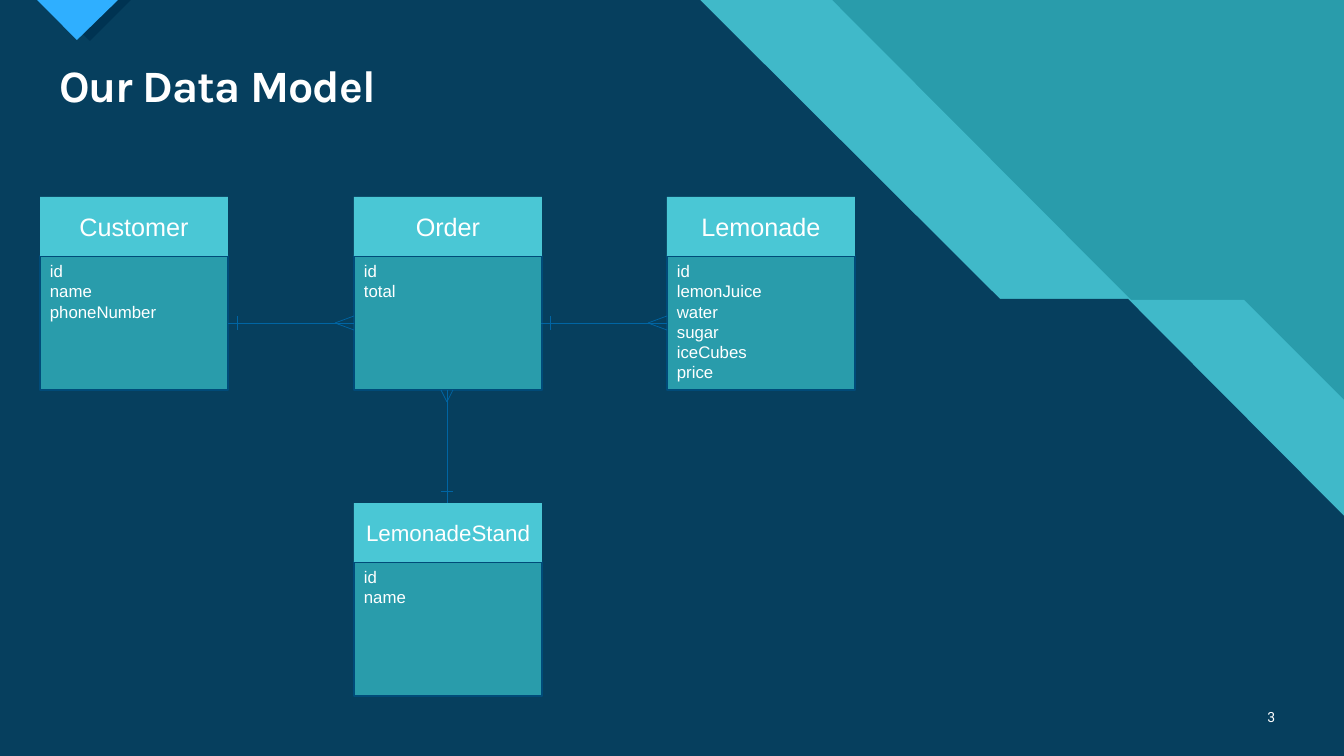
"""Build the lemonade data model slide."""
from math import hypot

from pptx import Presentation
from pptx import util as u
from pptx.dml.color import RGBColor
from pptx.enum import shapes, text
from pptx.oxml.ns import qn
from pptx.oxml.xmlchemy import OxmlElement

PX = 9071.43
WIDTH, HEIGHT = 1344, 756
WHITE = RGBColor(0xFF, 0xFF, 0xFF)
TEAL = RGBColor(0x29, 0x9C, 0xAB)
AQUA = RGBColor(0x40, 0xB9, 0xC9)
NAVY = RGBColor(0x06, 0x3F, 0x5E)
DEEP_NAVY = RGBColor(0x00, 0x33, 0x52)
SKY = RGBColor(0x2F, 0xAF, 0xFF)
HEADER = RGBColor(0x4A, 0xC7, 0xD5)
OUTLINE = RGBColor(0x00, 0x4B, 0x79)
RELATION = RGBColor(0x00, 0x65, 0xA4)

ENTITY_WIDTH, HEADER_HEIGHT, BODY_HEIGHT = 188, 59, 134

BACKDROP = [
    (AQUA, [(0, 0), (832, 0), (1131, 300), (1244, 300), (1344, 400),
            (1344, 756), (0, 756)]),
    (NAVY, [(0, 0), (700, 0), (1000, 299), (1128, 299), (1344, 516),
            (1344, 756), (0, 756)]),
    (DEEP_NAVY, [(48, 0), (131, 0), (90, 41)]),
    (SKY, [(37, 0), (118, 0), (77, 40)]),
]
ENTITIES = [
    (40, 197, "Customer", 18, ["id", "name", "phoneNumber"]),
    (354, 197, "Order", 18, ["id", "total"]),
    (667, 197, "Lemonade", 18,
     ["id", "lemonJuice", "water", "sugar", "iceCubes", "price"]),
    (354, 503, "LemonadeStand", 16, ["id", "name"]),
]
RELATIONS = [
    ((228, 323), (354, 323), 19, 9, 7),
    ((541, 323), (667, 323), 19, 9, 7),
    ((447, 503), (447, 390), 12, 12, 6),
]


def px(length):
    """Turn pixels into EMU."""
    return u.Emu(round(length * PX))


class DataModelSlide:
    """Draw elements on one slide in a shared style."""

    def __init__(self, deck):
        """Add the page and fill its background."""
        self.page = deck.slides.add_slide(deck.slide_layouts[5])
        fill = self.page.background.fill
        fill.solid()
        fill.fore_color.rgb = TEAL

    def label(self, box, words, size, font, align=text.PP_ALIGN.LEFT,
              anchor=text.MSO_ANCHOR.TOP, bold=False):
        """Fill a shape with uniformly formatted text."""
        frame = box.text_frame
        frame.text = words
        frame.word_wrap = True
        frame.vertical_anchor = anchor
        for para in frame.paragraphs:
            para.alignment = align
            for span in para.runs:
                span.font.size = u.Pt(size)
                span.font.name = font
                span.font.bold = bold
                span.font.color.rgb = WHITE

    def title(self, words, left, top, width, height):
        """Place the title placeholder in front of the backdrop."""
        box = self.page.shapes.title
        box.left, box.top, box.width, box.height = map(
            px, (left, top, width, height))
        self.label(box, words, 32, "Karla", bold=True)
        box.text_frame.auto_size = text.MSO_AUTO_SIZE.NONE
        box.text_frame.paragraphs[0].line_spacing = 0.9
        for properties in box.element.iter(qn("a:rPr")):
            properties.set("spc", "-70")
        self.page.shapes.element.append(box.element)

    def page_number(self, words, left, top, width, height):
        """Add the slide number."""
        box = self.page.shapes.add_textbox(
            *map(px, (left, top, width, height)))
        self.label(box, words, 10, "Roboto", text.PP_ALIGN.RIGHT,
                   text.MSO_ANCHOR.MIDDLE)

    def polygon(self, color, points):
        """Add a filled outline without a border."""
        builder = self.page.shapes.build_freeform(*points[0], scale=PX)
        builder.add_line_segments(points[1:])
        self.paint(builder.convert_to_shape(), color)

    def paint(self, shape, color, outline=None):
        """Apply a flat fill and an optional outline."""
        shape.shadow.inherit = False
        shape.fill.solid()
        shape.fill.fore_color.rgb = color
        if outline is None:
            shape.line.fill.background()
        else:
            shape.line.color.rgb = outline
            shape.line.width = u.Pt(1)

    def rectangle(self, left, top, width, height, color, outline=None):
        """Add a flat rectangle."""
        box = self.page.shapes.add_shape(
            shapes.MSO_SHAPE.RECTANGLE, *map(px, (left, top, width, height)))
        self.paint(box, color, outline)
        return box

    def entity(self, left, top, name, size, fields):
        """Add an entity with its header and field list."""
        body = self.rectangle(left, top + HEADER_HEIGHT, ENTITY_WIDTH,
                              BODY_HEIGHT, TEAL, OUTLINE)
        self.label(body, "\n".join(fields), 12, "Arial")
        header = self.rectangle(left, top, ENTITY_WIDTH, HEADER_HEIGHT, HEADER)
        self.label(header, name, size, "Arial", text.PP_ALIGN.CENTER,
                   text.MSO_ANCHOR.MIDDLE)

    def line(self, start, end):
        """Add a thin straight connector."""
        connector = self.page.shapes.add_connector(
            shapes.MSO_CONNECTOR.STRAIGHT, *map(px, (*start, *end)))
        connector.line.color.rgb = RELATION
        connector.line.width = u.Pt(0.5)
        connector.element.spPr.append(OxmlElement("a:effectLst"))

    def relation(self, one, many, foot, bar, spread):
        """Join two entities with a bar at one end and a crow's foot."""
        length = hypot(many[0] - one[0], many[1] - one[1])
        along = ((many[0] - one[0]) / length, (many[1] - one[1]) / length)

        def point(distance, side=0):
            """Locate a point along and beside the relation."""
            return (one[0] + along[0] * distance - along[1] * side,
                    one[1] + along[1] * distance + along[0] * side)

        self.line(one, many)
        for side in (-spread, spread):
            self.line(point(length - foot), point(length, side))
        self.line(point(bar, -spread), point(bar, spread))


def main():
    """Build and save the deck."""
    deck = Presentation()
    deck.slide_width, deck.slide_height = px(WIDTH), px(HEIGHT)
    slide = DataModelSlide(deck)
    for color, points in BACKDROP:
        slide.polygon(color, points)
    slide.title("Our Data Model", 49, 59, 1236, 59)
    slide.page_number("3", 1241, 697, 44, 40)
    for entity in ENTITIES:
        slide.entity(*entity)
    for relation in RELATIONS:
        slide.relation(*relation)
    deck.save("out.pptx")


if __name__ == "__main__":
    main()
